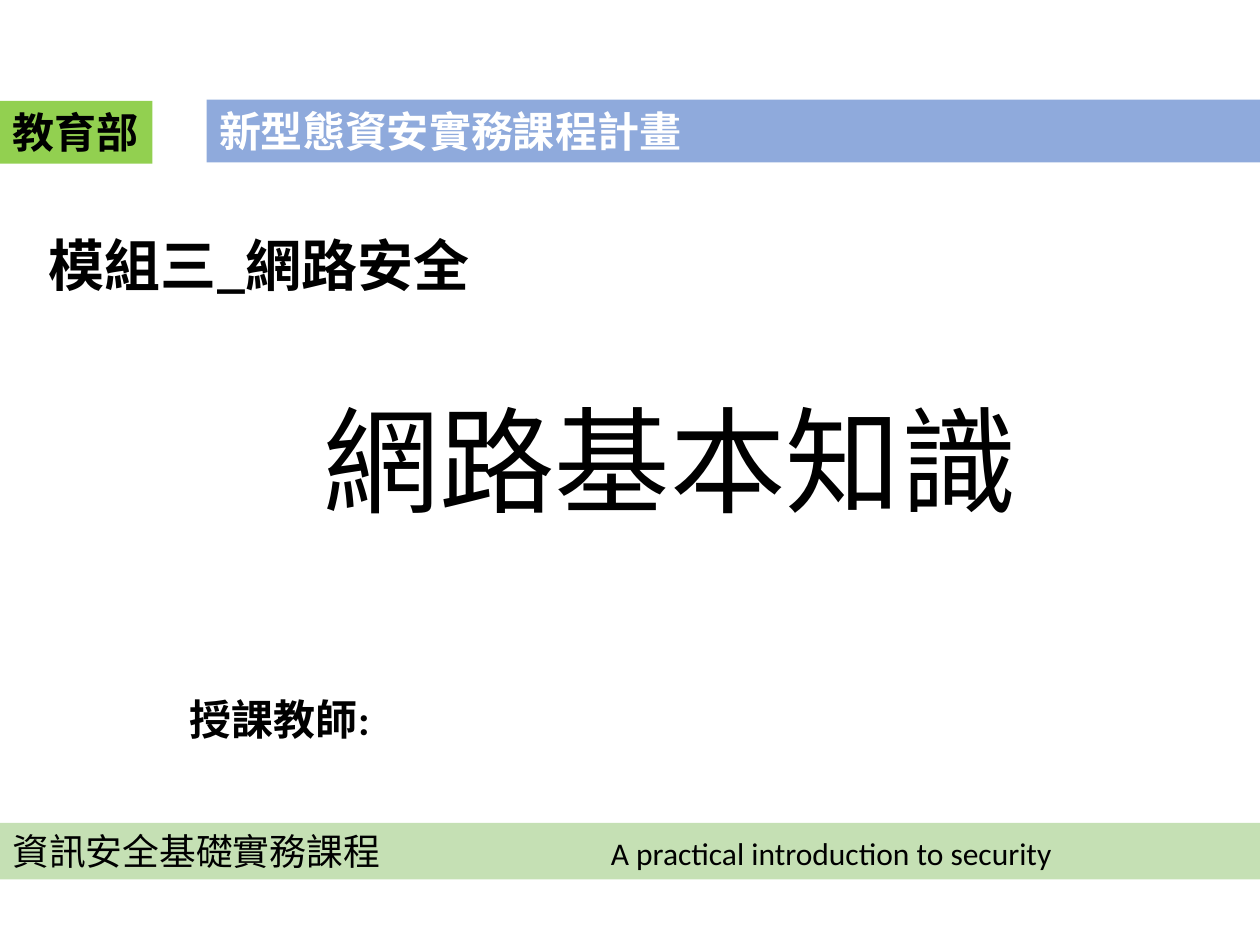
from lxml.etree import SubElement
from pptx import Presentation
from pptx.dml.color import RGBColor
from pptx.enum.shapes import MSO_SHAPE as Shape
from pptx.enum.text import MSO_ANCHOR as Anchor, PP_ALIGN as Align
from pptx.oxml.ns import qn
from pptx.util import Inches, Pt

COLORS = {
    "blue": "8FAADC",
    "green": "92D050",
    "pale_green": "C5E0B4",
    "white": "FFFFFF",
    "black": "000000",
}
LATIN = "Calibri"
CJK = "Noto Sans CJK SC"


def color(name):
    return RGBColor.from_string(COLORS[name])


def write(paragraph, text, size=24, bold=False, ink="black", font=LATIN):
    run = paragraph.add_run()
    run.text = text
    run.font.name = font
    run.font.size = Pt(size)
    run.font.bold = bold
    run.font.color.rgb = color(ink)
    east_asian = SubElement(run._r.get_or_add_rPr(), qn("a:ea"))
    east_asian.set("typeface", CJK)


def first_paragraph(shape, wrap, anchor):
    frame = shape.text_frame
    frame.word_wrap = wrap
    frame.vertical_anchor = anchor
    paragraph = frame.paragraphs[0]
    paragraph.alignment = Align.LEFT
    return paragraph


def add_band(slide, left, top, width, height, fill, wrap=True):
    band = slide.shapes.add_shape(
        Shape.RECTANGLE, Inches(left), Inches(top), Inches(width), Inches(height))
    band.shadow.inherit = False
    band.fill.solid()
    band.fill.fore_color.rgb = color(fill)
    band.line.fill.background()
    return first_paragraph(band, wrap, Anchor.TOP)


def add_label(slide, left, top, width, height, wrap=True):
    label = slide.shapes.add_textbox(
        Inches(left), Inches(top), Inches(width), Inches(height))
    return first_paragraph(label, wrap, Anchor.TOP)


def add_tab_stop(paragraph, position):
    stops = SubElement(paragraph._p.get_or_add_pPr(), qn("a:tabLst"))
    stop = SubElement(stops, qn("a:tab"))
    stop.set("pos", str(Inches(position)))
    stop.set("algn", "l")


def main():
    deck = Presentation()
    deck.slide_width, deck.slide_height = Inches(10), Inches(7.5)
    slide = deck.slides.add_slide(deck.slide_layouts[6])

    program = add_band(slide, 1.64, 0.79, 8.36, 0.5, "blue")
    write(program, "新型態資安實務課程計畫", bold=True, ink="white")

    ministry = add_band(slide, 0, 0.8, 1.21, 0.5, "green", wrap=False)
    write(ministry, "教育部", bold=True)

    teacher = add_label(slide, 1.41, 5.5, 7.5, 0.94)
    teacher.line_spacing = 0.9
    write(teacher, "授課教師:", bold=True)

    course = add_band(slide, 0, 6.53, 10, 0.45, "pale_green")
    add_tab_stop(course, 4.75)
    write(course, "資訊安全基礎實務課程\t", size=21, font=CJK)
    write(course, "A practical introduction to security", size=18)

    module = add_label(slide, 0.29, 1.78, 3.57, 0.64)
    write(module, "模組三_網路安全", size=32, bold=True)

    title = add_label(slide, 2.47, 3.04, 5.76, 1.21, wrap=False)
    write(title, "網路基本知識", size=66)

    deck.save("out.pptx")


if __name__ == "__main__":
    main()
